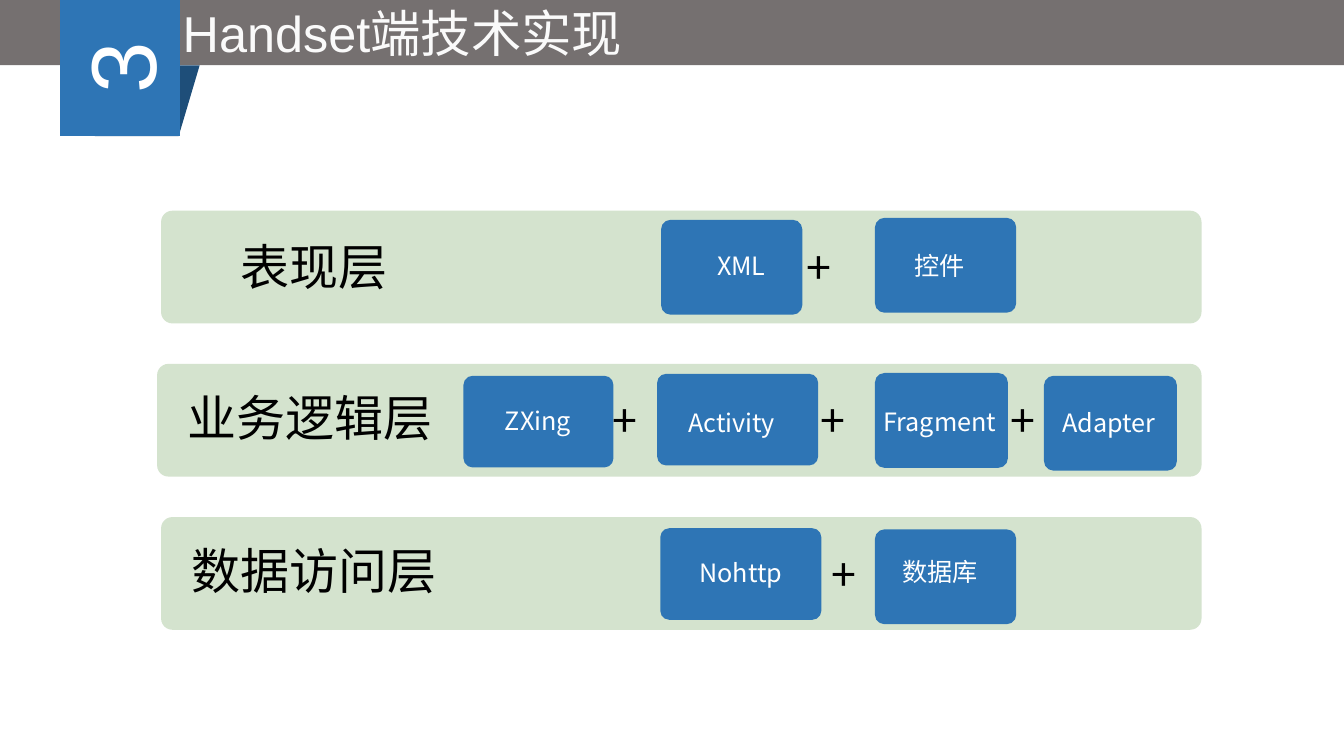
from dataclasses import dataclass

from lxml.etree import SubElement
from pptx import Presentation
from pptx.dml.color import RGBColor
from pptx.enum.shapes import MSO_SHAPE
from pptx.enum.text import MSO_ANCHOR, PP_ALIGN
from pptx.oxml.ns import qn
from pptx.util import Cm, Pt


@dataclass(frozen=True)
class Theme:
    """Colours, fonts and type sizes of the slide."""
    band: str = "757070"
    blue: str = "2E75B5"
    navy: str = "1E4E79"
    green: str = "D4E3CE"
    white: str = "FFFFFF"
    pale: str = "FAFAFA"
    black: str = "000000"
    latin: str = "Arial"
    sans: str = "Noto Sans CJK SC"
    digit: int = 66
    title: int = 36
    layer: int = 35
    plus: int = 32
    tile: int = 18


def write(frame, text, *, size, color, font, east, align=PP_ALIGN.CENTER,
          anchor=MSO_ANCHOR.MIDDLE, inset=None, lead=None):
    """Put one formatted paragraph into a text frame."""
    frame.word_wrap = True
    frame.vertical_anchor = anchor
    if inset is not None:
        frame.margin_left = frame.margin_right = Cm(inset)
        frame.margin_top = frame.margin_bottom = Cm(inset)
    line = frame.paragraphs[0]
    line.alignment = align
    if lead:
        line.line_spacing = lead
    run = line.add_run()
    run.text = text
    run.font.size = Pt(size)
    run.font.name = font
    run.font.color.rgb = RGBColor.from_string(color)
    SubElement(run.font._element, qn("a:ea")).set("typeface", east)


class Deck:
    """Draws the elements of the current slide in one style."""

    def __init__(self, theme):
        """Open a deck with one blank slide."""
        self.theme = theme
        self.file = Presentation()
        self.file.slide_width = Cm(33.87)
        self.file.slide_height = Cm(19.05)
        self.slide = self.file.slides.add_slide(self.file.slide_layouts[6])

    def shape(self, kind, place, fill, turn=0):
        """Add a flat filled shape."""
        item = self.slide.shapes.add_shape(kind, *map(Cm, place))
        item.shadow.inherit = False
        item.fill.solid()
        item.fill.fore_color.rgb = RGBColor.from_string(fill)
        item.line.fill.background()
        item.rotation = turn
        return item

    def card(self, place, fill):
        """Add a rounded rectangle."""
        self.shape(MSO_SHAPE.ROUNDED_RECTANGLE, place, fill).adjustments[0] = 0.1

    def text(self, text, place, **style):
        """Add a text box."""
        box = self.slide.shapes.add_textbox(*map(Cm, place))
        write(box.text_frame, text, east=self.theme.sans, **style)

    def header(self, number, title):
        """Add the top band, the folded number tag and the title."""
        look = self.theme
        self.shape(MSO_SHAPE.RECTANGLE, (0, -0.02, 33.87, 1.66), look.band)
        self.shape(MSO_SHAPE.FLOWCHART_DATA, (2.39, 1.65, 2.64, 1.78), look.navy, 180)
        tag = self.shape(MSO_SHAPE.RECTANGLE, (1.31, 0.2, 3.43, 3.02), look.blue, 270)
        write(tag.text_frame, number, size=look.digit, color=look.white,
              font=look.latin, east=look.sans)
        self.text(title, (3.73, -0.08, 12.83, 1.78), size=look.title,
                  color=look.pale, font=look.latin, anchor=MSO_ANCHOR.TOP)

    def layer(self, name, left, top, drop):
        """Add a layer bar with its name."""
        look = self.theme
        self.card((left, top, 30.28 - left, 2.84), look.green)
        self.text(name, (left, top + drop, 7.72, 2.84), size=look.layer,
                  color=look.black, font=look.sans, inset=0.69, lead=0.9)

    def tile(self, name, place, shift):
        """Add a tile with its label moved by the shift."""
        look = self.theme
        left, top, _, high = place
        size = (3.43, 2.24) if high > 2.35 else (3.76, 2.21)
        self.card(place, look.blue)
        self.text(name, (left + shift[0], top + shift[1], *size), size=look.tile,
                  color=look.white, font=look.sans, inset=0.18, lead=0.9)

    def plus(self, left, top):
        """Add a plus sign."""
        look = self.theme
        self.text("+", (left, top, 0.56, 1.65), size=look.plus, color=look.black,
                  font=look.sans, align=PP_ALIGN.LEFT, anchor=MSO_ANCHOR.TOP)


LAYERS = [
    ("表现层", 4.06, 0.07, [20.07], [
        ("XML", (16.66, 5.54, 3.56, 2.39), (0.31, 0.07)),
        ("控件", (22.05, 5.49, 3.56, 2.39), (-0.08, 0.12))]),
    ("业务逻辑层", 3.96, 0, [15.19, 20.42, 25.22], [
        ("ZXing", (11.68, 9.47, 3.78, 2.31), (0, 0.06)),
        ("Activity", (16.56, 9.42, 4.06, 2.31), (0, 0.16)),
        ("Fragment", (22.05, 9.4, 3.35, 2.39), (-0.08, 0.15)),
        ("Adapter", (26.31, 9.47, 3.35, 2.39), (-0.08, 0.11))]),
    ("数据访问层", 4.06, 0, [20.7], [
        ("Nohttp", (16.64, 13.31, 4.06, 2.31), (0.15, 0.05)),
        ("数据库", (22.05, 13.34, 3.56, 2.39), (-0.08, 0))]),
]


def main():
    """Build and save the slide."""
    deck = Deck(Theme())
    deck.header("3", "Handset端技术实现")
    for row, (name, left, drop, signs, tiles) in enumerate(LAYERS):
        top = 5.31 + 3.86 * row
        deck.layer(name, left, top, drop)
        for tile in tiles:
            deck.tile(*tile)
        for sign in signs:
            deck.plus(sign, top + 0.61)
    deck.file.save("out.pptx")


if __name__ == "__main__":
    main()
